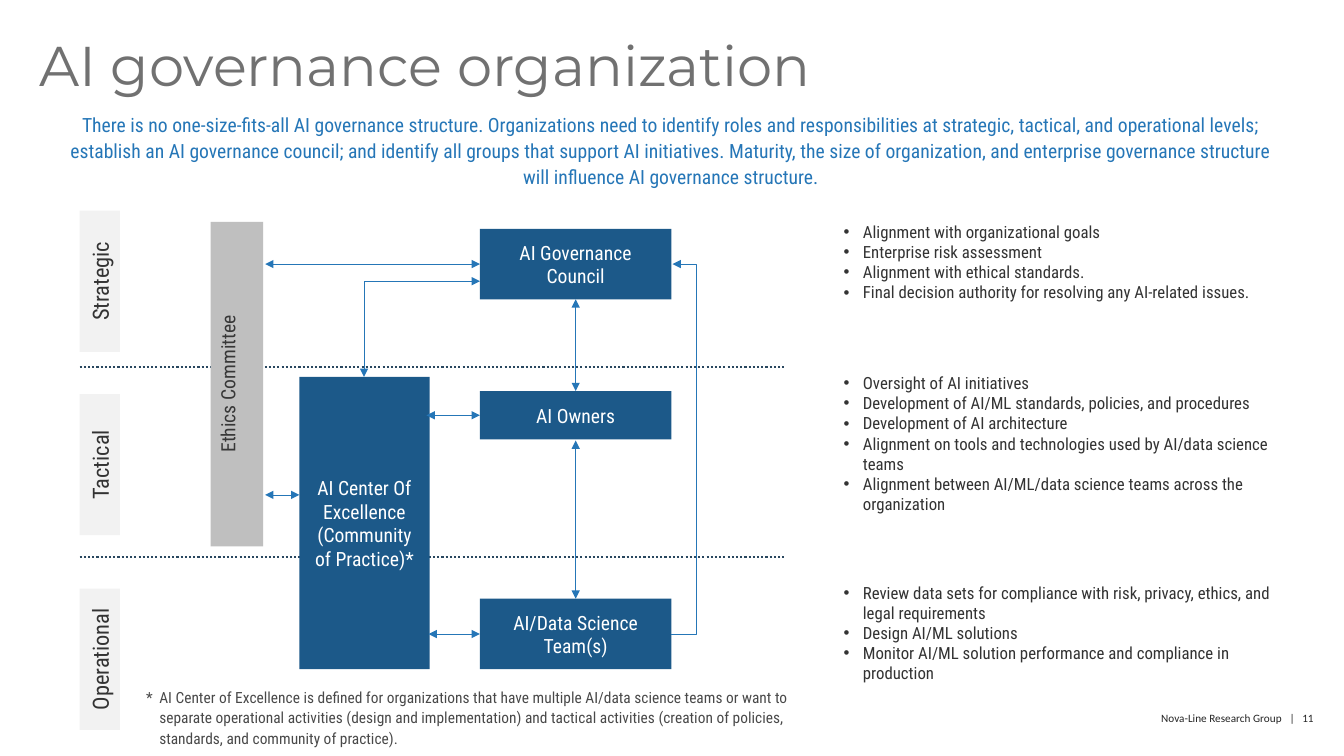
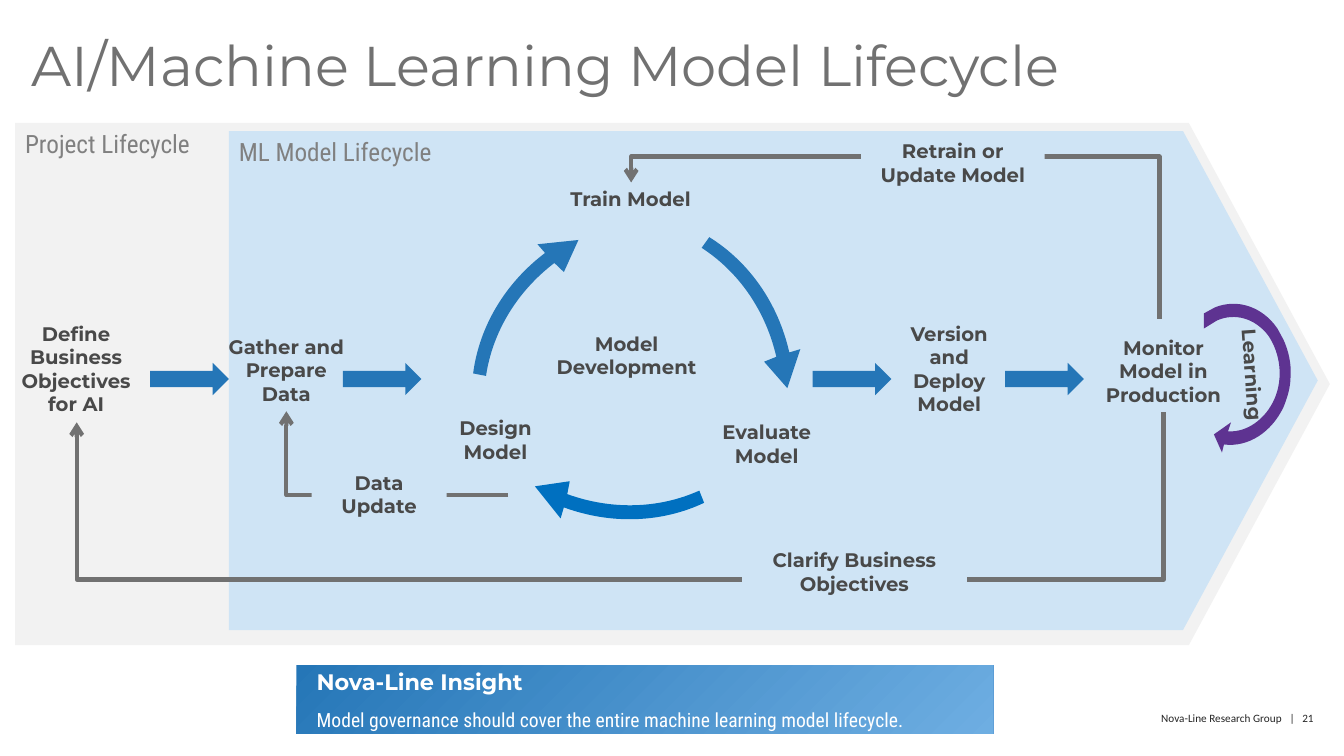
from dataclasses import dataclass
from math import cos, radians, sin

from pptx import Presentation
from pptx.dml.color import RGBColor
from pptx.enum.dml import MSO_LINE as Dash
from pptx.enum.shapes import MSO_CONNECTOR as Connector, MSO_SHAPE as Preset
from pptx.enum.text import MSO_ANCHOR as Anchor, PP_ALIGN as Align
from pptx.oxml.ns import qn
from pptx.oxml.xmlchemy import OxmlElement as xml_element
from pptx.util import Inches, Pt


@dataclass(frozen=True)
class Theme:
    # Colours
    white: str = "FFFFFF"
    panel: str = "F2F2F2"
    bar: str = "BFBFBF"
    navy: str = "1C5989"
    divider: str = "29475F"
    blue: str = "2576B7"
    bright_blue: str = "0070C0"
    sky: str = "6EAEE2"
    pale_blue: str = "CFE4F5"
    purple: str = "5E3391"
    gray: str = "717171"
    caption: str = "808080"
    ink: str = "333333"
    bar_ink: str = "373737"
    label: str = "494949"
    footer: str = "242424"
    # Fonts
    display: str = "Montserrat"
    body: str = "Roboto Condensed"
    small: str = "Calibri"
    bullet: str = "Arial"
    # Type sizes
    title_pt: int = 40
    panel_pt: int = 18
    heading_pt: int = 16
    text_pt: int = 14
    list_pt: int = 12
    note_pt: int = 11
    footer_pt: int = 8


T = Theme()


def add_child(parent, tag, **attributes):
    child = xml_element(tag)
    for name, value in attributes.items():
        child.set(name, str(value))
    parent.append(child)
    return child


class Deck:
    def __init__(self):
        self.prs = Presentation()
        self.prs.slide_width, self.prs.slide_height = Inches(13.33), Inches(7.5)
        self.slide = None

    def new_slide(self, title, number, left):
        self.slide = self.prs.slides.add_slide(self.prs.slide_layouts[6])
        self.text(title, left, 0.38, 12.38, 0.85, T.title_pt, T.gray, T.display,
                  align=Align.LEFT, inset=0, spacing=0.9)
        # Footer: the divider gets wide tracking
        footer = self.text("Nova-Line Research Group", 9.63, 7.06, 3.4, 0.13, T.footer_pt,
                           T.footer, T.small, align=Align.RIGHT, inset=0)
        line = footer.text_frame.paragraphs[0]
        divider = line.add_run()
        divider.text = " |"
        divider.font._element.set("spc", "360")
        line.add_run().text = f" {number}"

    # Text
    def style(self, paragraph, size, color, font, align, bold=False, spacing=None):
        paragraph.alignment = align
        if spacing:
            paragraph.line_spacing = spacing
        face = paragraph.font
        face.size, face.name, face.bold = Pt(size), font, bold
        face.color.rgb = RGBColor.from_string(color)

    def hang(self, paragraph, indent, bullet=None):
        props = paragraph._p.get_or_add_pPr()
        props.set("marL", str(Inches(indent)))
        props.set("indent", str(-Inches(indent)))
        if bullet:
            add_child(props, "a:buFont", typeface=T.bullet)
            add_child(props, "a:buChar", char=bullet)

    def frame(self, shape, inset=None, anchor=Anchor.TOP):
        frame = shape.text_frame
        frame.word_wrap, frame.vertical_anchor = True, anchor
        if inset is not None:
            frame.margin_left = frame.margin_right = Inches(inset)
            frame.margin_top = frame.margin_bottom = Inches(inset)
        return frame

    def text(self, words, x, y, w, h, size, color, font=T.body, align=Align.CENTER,
             bold=False, inset=None, spacing=None, hanging=None):
        box = self.slide.shapes.add_textbox(Inches(x), Inches(y), Inches(w), Inches(h))
        paragraph = self.frame(box, inset).paragraphs[0]
        paragraph.text = words
        if hanging:
            self.hang(paragraph, hanging)
        self.style(paragraph, size, color, font, align, bold, spacing)
        return box

    def bullets(self, items, x, y, w, h):
        box = self.slide.shapes.add_textbox(Inches(x), Inches(y), Inches(w), Inches(h))
        frame = self.frame(box)
        for index, item in enumerate(items):
            paragraph = frame.add_paragraph() if index else frame.paragraphs[0]
            paragraph.text = item
            self.hang(paragraph, 0.19, "•")
            self.style(paragraph, T.list_pt, T.ink, T.body, Align.LEFT)

    def step(self, words, x, y, w, h):
        return self.text(words, x, y, w, h, T.text_pt, T.label, T.display, bold=True)

    # Shapes
    def paint(self, shape, fill):
        shape.shadow.inherit = False
        shape.fill.solid()
        shape.fill.fore_color.rgb = RGBColor.from_string(fill)
        shape.line.fill.background()
        return shape

    def shape(self, x, y, w, h, fill, preset=Preset.RECTANGLE, words="", size=T.text_pt,
              color=T.white, font=T.body, align=Align.CENTER, bold=False,
              anchor=Anchor.MIDDLE, adjust=None):
        shape = self.slide.shapes.add_shape(preset, Inches(x), Inches(y), Inches(w), Inches(h))
        self.paint(shape, fill)
        if adjust is not None:
            shape.adjustments[0] = adjust
        if words:
            paragraph = self.frame(shape, anchor=anchor).paragraphs[0]
            paragraph.text = words
            self.style(paragraph, size, color, font, align, bold)
        return shape

    def outline(self, fill, x, y, w, h, points, turn=0, origin=(0, 0)):
        """Filled outline in a frame: pairs are corners, sixes are curves."""
        ends = [(Inches(point[-2]), Inches(point[-1])) for point in points]
        builder = self.slide.shapes.build_freeform(*ends[0])
        builder.add_line_segments(ends[1:], close=True)
        shape = self.paint(builder.convert_to_shape(), fill)
        shape.left, shape.top, shape.width, shape.height = map(Inches, (x, y, w, h))
        shape.rotation = turn
        # Put the curves into the path
        path = next(shape.element.iter(qn("a:path")))
        path.set("w", str(Inches(w)))
        path.set("h", str(Inches(h)))
        for child in list(path):
            path.remove(child)
        for index, point in enumerate(points):
            tag = "a:cubicBezTo" if len(point) == 6 else "a:lnTo" if index else "a:moveTo"
            segment = add_child(path, tag)
            for px, py in zip(point[::2], point[1::2]):
                add_child(segment, "a:pt", x=Inches(px - origin[0]), y=Inches(py - origin[1]))
        add_child(path, "a:close")

    # Lines
    def connect(self, start, end, color=T.blue, width=0.5, head=None, tail=None,
                dash=None, bend=None, turn=0, adjust=()):
        # Elbows are laid out in their own frame, then turned about the middle
        mid_x, mid_y = (start[0] + end[0]) / 2, (start[1] + end[1]) / 2
        dx, dy = (end[0] - start[0]) / 2, (end[1] - start[1]) / 2
        c, s = cos(radians(turn)), sin(radians(turn))
        dx, dy = dx * c + dy * s, dy * c - dx * s
        line = self.slide.shapes.add_connector(
            Connector.ELBOW if bend else Connector.STRAIGHT,
            Inches(mid_x - dx), Inches(mid_y - dy), Inches(mid_x + dx), Inches(mid_y + dy))
        line.line.color.rgb = RGBColor.from_string(color)
        line.line.width = Pt(width)
        if dash:
            line.line.dash_style = dash
        props = line.element.spPr
        if bend:
            props.find(qn("a:xfrm")).set("rot", str(turn * 60000))
            geometry = props.find(qn("a:prstGeom"))
            geometry.set("prst", bend)
            for index, value in enumerate(adjust, 1):
                add_child(geometry.find(qn("a:avLst")), "a:gd", name=f"adj{index}",
                          fmla=f"val {round(value * 100000)}")
        for tag, arrow in (("a:headEnd", head), ("a:tailEnd", tail)):
            if arrow:
                add_child(props.find(qn("a:ln")), tag, type=arrow)
        add_child(props, "a:effectLst")

    def link(self, start, end, **options):
        self.connect(start, end, head="triangle", tail="triangle", **options)

    def feedback(self, start, end, bend, turn, adjust=()):
        self.connect(start, end, T.gray, 3, tail="arrow", bend=bend, turn=turn, adjust=adjust)


def governance(deck):
    deck.new_slide("AI governance organization", 11, 0.39)
    deck.text("There is no one-size-fits-all AI governance structure. Organizations need to "
              "identify roles and responsibilities at strategic, tactical, and operational "
              "levels; establish an AI governance council; and identify all groups that "
              "support AI initiatives. Maturity, the size of organization, and enterprise "
              "governance structure will influence AI governance structure.",
              0.65, 1.1, 12.01, 0.89, T.text_pt, T.blue, inset=0, spacing=1.1)

    # Levels and their dividers
    for y in (3.64, 5.53):
        deck.connect((0.79, y), (7.79, y), T.divider, 1.5, dash=Dash.ROUND_DOT)
    for level, y in (("Strategic", 2.59), ("Tactical", 4.41), ("Operational", 6.34)):
        deck.shape(0.29, y, 1.4, 0.4, T.panel, words=level, size=T.heading_pt,
                   color=T.ink).rotation = 270

    # Groups
    ethics = deck.shape(2.09, 2.2, 0.52, 3.22, T.bar, words="Ethics Committee",
                        color=T.bar_ink, anchor=Anchor.TOP)
    ethics.text_frame._txBody.bodyPr.set("vert", "vert270")
    for group, x, y, w, h in (
            ("AI Governance Council", 4.76, 2.27, 1.9, 0.7),
            ("AI Owners", 4.76, 3.88, 1.9, 0.48),
            ("AI/Data Science Team(s)", 4.76, 5.94, 1.9, 0.7),
            ("AI Center Of Excellence (Community of Practice)*", 2.97, 3.74, 1.29, 2.9)):
        deck.shape(x, y, w, h, T.navy, words=group)

    # Links between groups
    for start, end in (((2.63, 2.62), (4.76, 2.62)), ((2.63, 4.91), (2.97, 4.91)),
                       ((5.71, 5.94), (5.71, 4.37)), ((5.71, 3.88), (5.71, 2.97)),
                       ((4.76, 6.29), (4.25, 6.29)), ((4.76, 4.12), (4.23, 4.12))):
        deck.link(start, end)
    deck.link((3.61, 3.74), (4.76, 2.79), bend="bentConnector2", turn=90)
    deck.connect((6.66, 6.29), (6.67, 2.62), tail="triangle", bend="bentConnector3",
                 adjust=[25])

    # Responsibilities by level
    for y, h, duties in (
            (2.15, 1.11, ["Alignment with organizational goals",
                          "Enterprise risk assessment",
                          "Alignment with ethical standards.",
                          "Final decision authority for resolving any AI-related issues."]),
            (3.65, 1.51, ["Oversight of AI initiatives",
                          "Development of AI/ML standards, policies, and procedures",
                          "Development of AI architecture",
                          "Alignment on tools and technologies used by AI/data science teams",
                          "Alignment between AI/ML/data science teams across the organization"]),
            (5.73, 1.11, ["Review data sets for compliance with risk, privacy, ethics, and "
                          "legal requirements",
                          "Design AI/ML solutions",
                          "Monitor AI/ML solution performance and compliance in production"])):
        deck.bullets(duties, 8.27, y, 4.46, h)

    deck.text("*\tAI Center of Excellence is defined for organizations that have multiple "
              "AI/data science teams or want to separate operational activities (design and "
              "implementation) and tactical activities (creation of policies, standards, and "
              "community of practice).", 1.45, 6.81, 6.56, 0.51, T.note_pt, T.label,
              align=Align.LEFT, inset=0, spacing=1.1, hanging=0.13)


def lifecycle(deck):
    # Nested lifecycles
    deck.new_slide("AI/Machine Learning Model Lifecycle", 21, 0.31)
    for name, x, y, w, h, fill in (("Project Lifecycle", 0.15, 1.22, 13.04, 5.18, T.panel),
                                   ("ML Model Lifecycle", 2.27, 1.3, 10.8, 4.95, T.pale_blue)):
        deck.shape(x, y, w, h, fill, Preset.PENTAGON, name, T.panel_pt, T.caption,
                   align=Align.LEFT, anchor=Anchor.TOP, adjust=0.27)

    # Model development cycle: one curved arrow, turned three ways
    cycle_arrow = [(0.72, 0.34), (0.8, 0), (0.41, 0.12), (0.5, 0.19),
                   (0.17, 0.56, 0, 1.03, 0.03, 1.5), (0.16, 1.5),
                   (0.14, 1.06, 0.3, 0.62, 0.61, 0.27)]
    for x, y, turn, fill in ((4.8, 2.29, 11.1, T.blue), (7.03, 2.34, 125.5, T.blue),
                             (5.75, 4.17, 248.4, T.bright_blue)):
        deck.outline(fill, x, y, 0.8, 1.5, cycle_arrow, turn)

    # Steps and the arrows between them
    for words, x, y, w, h in (
            ("Design Model", 4.18, 4.08, 1.47, 0.57),
            ("Train Model", 5.52, 1.81, 1.47, 0.34),
            ("Evaluate Model", 6.87, 4.12, 1.47, 0.57),
            ("Gather and Prepare Data", 2.14, 3.27, 1.4, 0.81),
            ("Define Business Objectives for AI", 0.08, 3.14, 1.35, 1.04),
            ("Model Development", 5.38, 3.24, 1.67, 0.57),
            ("Version and Deploy Model", 8.88, 3.14, 1.07, 1.04),
            ("Monitor Model in Production", 10.83, 3.28, 1.42, 0.81)):
        deck.step(words, x, y, w, h)
    for x in (1.49, 3.4, 8.06, 9.97):
        deck.shape(x, 3.6, 0.78, 0.32, T.blue, Preset.RIGHT_ARROW)

    # Feedback paths, with labels over them
    deck.feedback((11.5, 3.16), (6.26, 1.81), "bentConnector4", 180, [0, 1.19])
    deck.feedback((5.04, 4.91), (2.84, 4.08), "bentConnector2", 180)
    deck.feedback((11.54, 4.09), (0.76, 4.19), "bentConnector3", 90, [16.6])
    for words, x, y, w in (("Retrain or Update Model", 8.54, 1.33, 1.82),
                           ("Data Update", 3.09, 4.62, 1.34),
                           ("Clarify Business Objectives", 7.36, 5.39, 2.23)):
        deck.shape(x, y, w, 0.57, T.pale_blue, words=words, color=T.label,
                   font=T.display, bold=True, anchor=Anchor.TOP)

    # Learning loop
    loop = [(12.73, 3.37), (12.78, 3.48, 12.81, 3.61, 12.8, 3.74),
            (12.8, 3.84, 12.77, 3.94, 12.73, 4.04),
            (12.61, 4.29, 12.38, 4.44, 12.14, 4.41), (12.12, 4.49), (12.04, 4.31),
            (12.21, 4.19), (12.18, 4.28), (12.37, 4.29, 12.55, 4.16, 12.64, 3.96),
            (12.73, 3.75, 12.7, 3.51, 12.58, 3.33),
            (12.45, 3.16, 12.25, 3.1, 12.07, 3.18), (11.94, 3.26), (11.94, 3.11),
            (12.05, 3.05), (12.27, 2.96, 12.52, 3.04, 12.67, 3.26)]
    deck.outline(T.purple, 11.94, 3.01, 0.87, 1.48, loop, origin=(11.94, 3.01))
    deck.step("Learning", 11.83, 3.55, 1.18, 0.34).rotation = 86.1

    # Insight banner
    banner = deck.shape(2.94, 6.6, 6.91, 0.68, T.blue)
    banner.fill.gradient()
    banner.fill.gradient_angle = 315
    for stop, color in zip(banner.fill.gradient_stops, (T.blue, T.sky)):
        stop.color.rgb = RGBColor.from_string(color)
    frame = deck.frame(banner, 0.2, Anchor.MIDDLE)
    heading, message = frame.paragraphs[0], frame.add_paragraph()
    heading.text = "Nova-Line Insight"
    deck.style(heading, T.heading_pt, T.white, T.display, Align.LEFT, bold=True)
    message.text = "Model governance should cover the entire machine learning model lifecycle."
    message.space_before = Pt(8)
    deck.style(message, T.text_pt, T.white, T.body, Align.LEFT, spacing=Pt(18))


def main():
    deck = Deck()
    governance(deck)
    lifecycle(deck)
    deck.prs.save("out.pptx")


if __name__ == "__main__":
    main()
